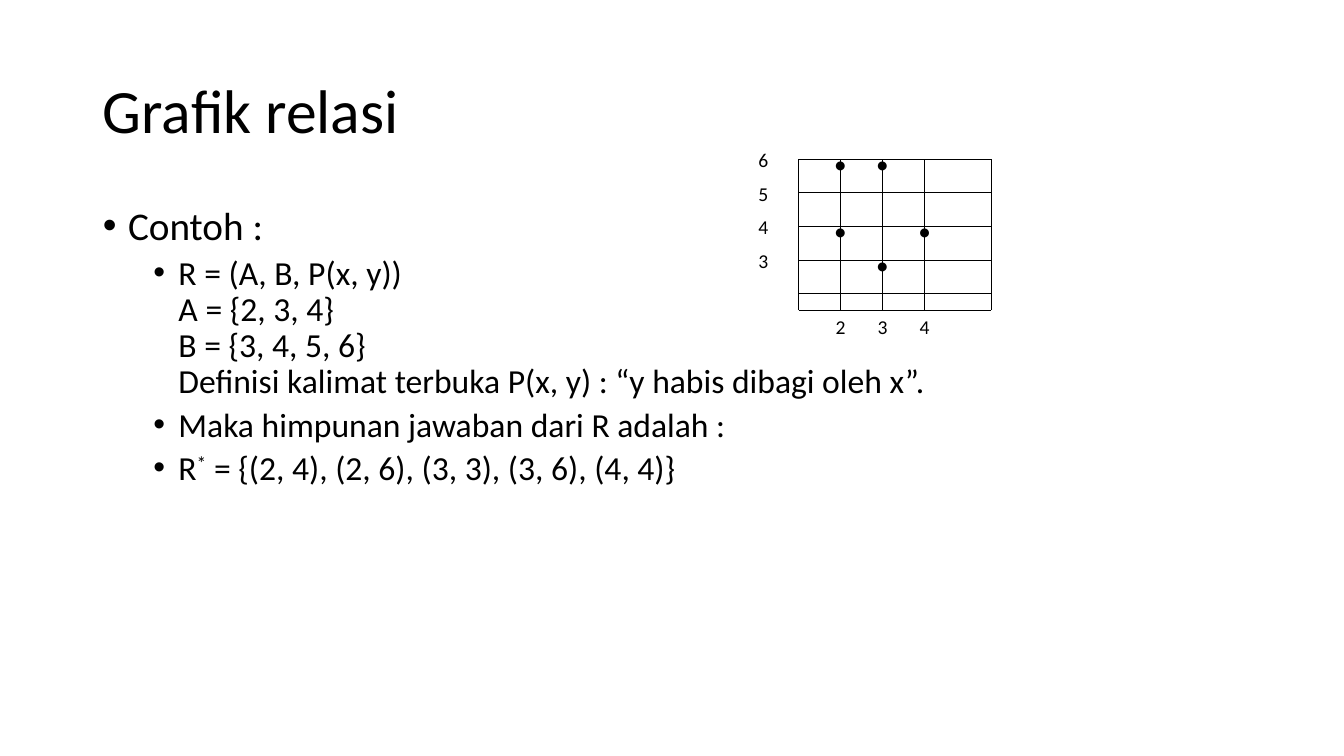
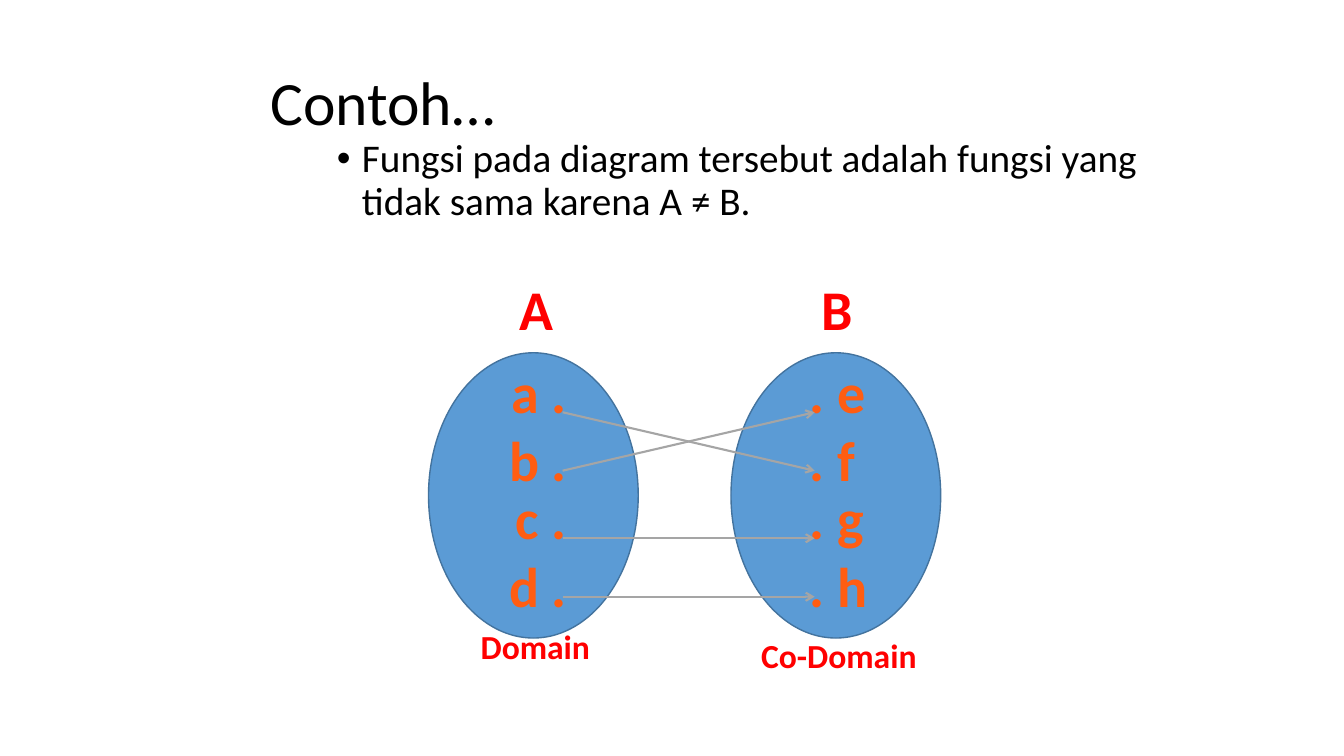
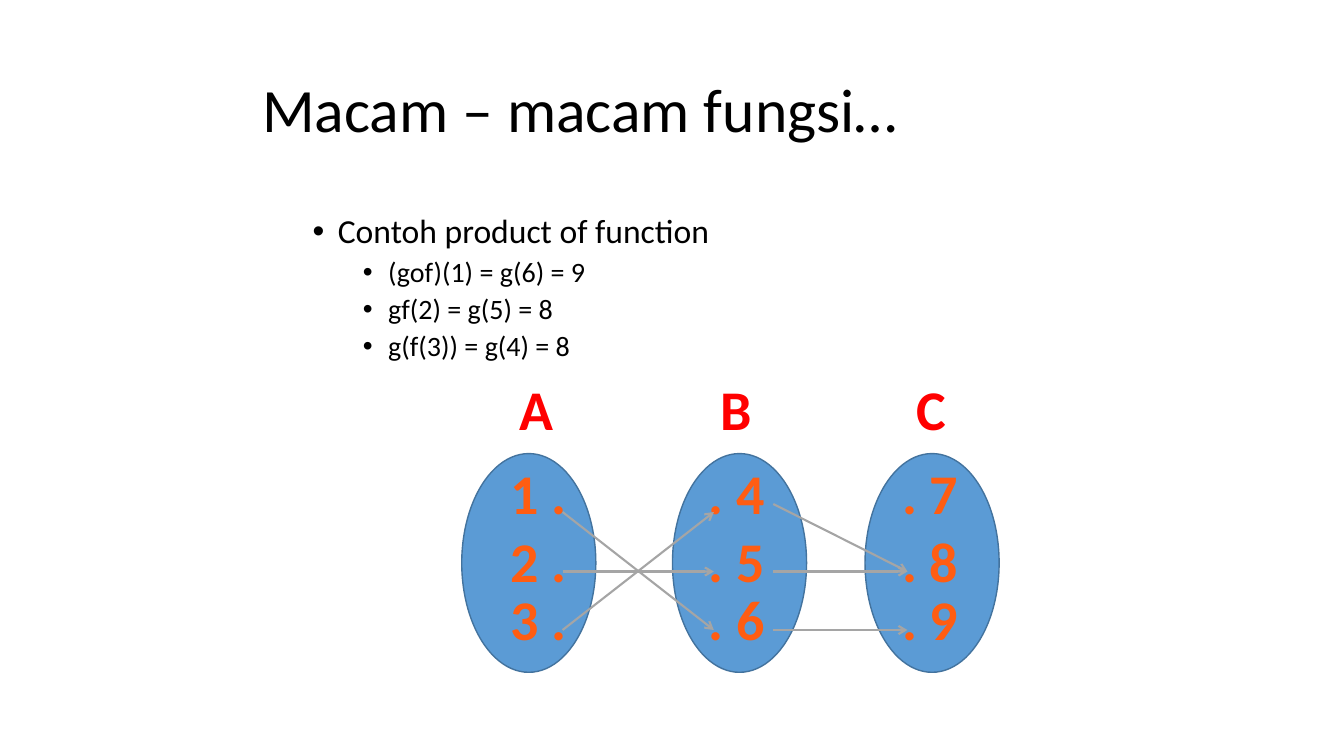
from copy import deepcopy
from dataclasses import dataclass

from lxml.etree import SubElement
from pptx import Presentation
from pptx.dml.color import RGBColor
from pptx.enum.shapes import MSO_CONNECTOR, MSO_SHAPE
from pptx.enum.text import MSO_ANCHOR, MSO_AUTO_SIZE, PP_ALIGN
from pptx.oxml.ns import qn
from pptx.util import Inches, Pt


@dataclass(frozen=True)
class Theme:
    """Colours and type sizes shared by all slides."""
    font: str = "Calibri"
    ink: str = "000000"
    name: str = "FF0000"
    member: str = "FF5D12"
    fill: str = "5B9BD5"
    outline: str = "43739E"
    arrow: str = "A5A5A5"
    title: int = 44
    large: int = 40
    body: int = 28
    second: int = 24
    third: int = 20
    dot: int = 18
    axis: int = 14


THEME = Theme()


def write(paragraph, text, *, size, color=THEME.ink, bold=False, raised=False):
    """Add text to a paragraph, with a line break at each newline."""
    for index, line in enumerate(text.split("\n")):
        if index:
            paragraph.add_line_break()
        span = paragraph.add_run()
        span.text = line
        span.font.name = THEME.font
        span.font.size = Pt(size)
        span.font.bold = bold
        span.font.color.rgb = RGBColor.from_string(color)
        if raised:
            span.font._element.set("baseline", "30000")
        if index:
            line_break = span._r.getprevious()
            line_break.append(deepcopy(span.font._element))


class Slides:
    """Holds the deck, its theme and the current slide."""

    def __init__(self, theme):
        """Start an empty widescreen deck."""
        self.theme = theme
        self.deck = Presentation()
        self.deck.slide_width = Inches(13.33)
        self.deck.slide_height = Inches(7.5)
        self.page = None

    def place(self, shape, left, top, width, height):
        """Move and size a placeholder and return its text frame."""
        shape.left, shape.top = Inches(left), Inches(top)
        shape.width, shape.height = Inches(width), Inches(height)
        shape.text_frame.word_wrap = True
        shape.text_frame.auto_size = MSO_AUTO_SIZE.NONE
        return shape.text_frame

    def start(self, title, *area):
        """Add a slide with its title."""
        self.page = self.deck.slides.add_slide(self.deck.slide_layouts[1])
        frame = self.place(self.page.shapes.title, *area)
        frame.vertical_anchor = MSO_ANCHOR.MIDDLE
        para = frame.paragraphs[0]
        para.alignment = PP_ALIGN.LEFT
        para.line_spacing = 0.9
        write(para, title, size=self.theme.title)

    def bullets(self, items, *area):
        """Fill the body with items of level, size and (text, raised) parts."""
        frame = self.place(self.page.placeholders[1], *area)
        for index, (level, size, parts) in enumerate(items):
            para = frame.add_paragraph() if index else frame.paragraphs[0]
            para.level = level
            para.line_spacing = 0.9
            para.space_before = Pt(5 if index else 0)
            properties = para._p.get_or_add_pPr()
            properties.set("marL", str(Inches(0.25 + 0.5 * level)))
            properties.set("indent", str(Inches(-0.25)))
            SubElement(properties, qn("a:buFont")).set("typeface", "Arial")
            SubElement(properties, qn("a:buChar")).set("char", "•")
            for text, raised in parts:
                write(para, text, size=size, raised=raised)

    def label(self, text, left, top, width, height, align=PP_ALIGN.CENTER,
              anchor=MSO_ANCHOR.TOP, **style):
        """Add a one-line text box."""
        box = self.page.shapes.add_textbox(
            Inches(left), Inches(top), Inches(width), Inches(height))
        box.text_frame.word_wrap = True
        box.text_frame.vertical_anchor = anchor
        para = box.text_frame.paragraphs[0]
        para.alignment = align
        write(para, text, **style)

    def line(self, x1, y1, x2, y2, color, width, arrow=False):
        """Add a straight line, with an arrowhead if asked."""
        line = self.page.shapes.add_connector(
            MSO_CONNECTOR.STRAIGHT, Inches(x1), Inches(y1), Inches(x2), Inches(y2))
        line.line.color.rgb = RGBColor.from_string(color)
        line.line.width = Pt(width)
        if arrow:
            SubElement(line.line._get_or_add_ln(), qn("a:tailEnd")).set("type", "arrow")
        SubElement(line._element.spPr, qn("a:effectLst"))

    def oval(self, left, top, width, height):
        """Add the ellipse of a set."""
        oval = self.page.shapes.add_shape(
            MSO_SHAPE.OVAL, Inches(left), Inches(top), Inches(width), Inches(height))
        oval.shadow.inherit = False
        oval.fill.solid()
        oval.fill.fore_color.rgb = RGBColor.from_string(self.theme.fill)
        oval.line.color.rgb = RGBColor.from_string(self.theme.outline)
        oval.line.width = Pt(1)

    def set(self, name, center, members, edge, oval, source=False):
        """Add a named set; a source has its dots at the right edge."""
        left, top, width, height = oval
        self.oval(left, top, width, height)
        self.label(name, center - 0.4, top - 0.83, 0.8, 0.77,
                   size=self.theme.large, color=self.theme.name, bold=True)
        for member, offset in zip(members, (0, 0.67, 1.25, 1.92)):
            self.label(f"{member} ." if source else f". {member}",
                       edge - 0.95 if source else edge, top + offset, 0.95, 0.77,
                       PP_ALIGN.RIGHT if source else PP_ALIGN.LEFT,
                       size=self.theme.large, color=self.theme.member, bold=True)

    def arrows(self, x1, x2, heights):
        """Add arrows between two columns at pairs of heights."""
        for y1, y2 in heights:
            self.line(x1, y1, x2, y2, self.theme.arrow, 1.5, arrow=True)

    def relation_grid(self, pairs):
        """Draw the grid of a relation with a dot for each pair."""
        left, top, right, bottom = 7.92, 1.58, 9.83, 3.08
        columns = {x: left + (x - 1) * 5 / 12 for x in (1, 2, 3, 4)}
        rows = {y: top + (6 - y) / 3 for y in (6, 5, 4, 3, 2)}
        for x in (*columns.values(), right):
            self.line(x, top, x, bottom, self.theme.ink, 0.75)
        for y in (*rows.values(), bottom):
            self.line(left, y, right, y, self.theme.ink, 0.75)
        for x in (2, 3, 4):
            self.label(str(x), columns[x] - 0.2, 3.08, 0.4, 0.34, size=self.theme.axis)
        for y in (6, 5, 4, 3):
            self.label(str(y), 7.37, rows[y] - 0.16, 0.4, 0.34, size=self.theme.axis)
        for x, y in pairs:
            self.label("•", columns[x] - 0.2, rows[y] - 0.16, 0.4, 0.4,
                       anchor=MSO_ANCHOR.MIDDLE, size=self.theme.dot)


def relation_slide(slides):
    """Build the slide on the graph of a relation."""
    second = slides.theme.second
    slides.start("Grafik relasi", 0.92, 0.4, 11.5, 1.45)
    definition = ("R = (A, B, P(x, y))\nA = {2, 3, 4}\nB = {3, 4, 5, 6}\n"
                  "Definisi kalimat terbuka P(x, y) : “y habis dibagi oleh x”.")
    slides.bullets([
        (0, slides.theme.body, [("Contoh :", False)]),
        (1, second, [(definition, False)]),
        (1, second, [("Maka himpunan jawaban dari R adalah :", False)]),
        (1, second, [("R", False), ("*", True),
                     (" = {(2, 4), (2, 6), (3, 3), (3, 6), (4, 4)}", False)]),
    ], 0.92, 2, 11.5, 4.76)
    slides.relation_grid([(2, 4), (2, 6), (3, 3), (3, 6), (4, 4)])


def unequal_slide(slides):
    """Build the slide on functions that are not equal."""
    theme = slides.theme
    slides.start("Contoh…", 2.58, 0.42, 7.12, 1.25)
    text = "Fungsi pada diagram tersebut adalah fungsi yang tidak sama karena A ≠ B."
    slides.bullets([(0, theme.body, [(text, False)])], 3.24, 1.33, 8.2, 2.11)
    slides.set("A", 5.32, "abcd", 5.72, (4.25, 3.5, 2.08, 2.83), source=True)
    slides.set("B", 8.3, "efgh", 7.93, (7.25, 3.5, 2.08, 2.83))
    for caption, center, top in (("Domain", 5.31, 6.16), ("Co-Domain", 8.32, 6.25)):
        slides.label(caption, center - 1, top, 2, 0.5,
                     size=theme.second, color=theme.name, bold=True)
    slides.arrows(5.58, 8.08, [(4.09, 4.67), (4.67, 4.09), (5.34, 5.34), (5.92, 5.92)])


def product_slide(slides):
    """Build the slide on the product of functions."""
    slides.start("Macam – macam fungsi…", 2.5, 0.58, 7.42, 1.08)
    steps = ("(gof)(1) = g(6) = 9", "gf(2) = g(5) = 8", "g(f(3)) = g(4) = 8")
    slides.bullets(
        [(1, slides.theme.second, [("Contoh product of function", False)])]
        + [(2, slides.theme.third, [(step, False)]) for step in steps],
        2.5, 2.08, 8.25, 1.64)
    slides.set("A", 5.32, "123", 5.72, (4.58, 4.5, 1.33, 2.17), source=True)
    slides.set("B", 7.3, "456", 6.93, (6.67, 4.5, 1.33, 2.17))
    slides.set("C", 9.24, "789", 8.85, (8.58, 4.5, 1.33, 2.17))
    slides.arrows(5.58, 7.08, [(5.08, 6.25), (6.25, 5.08), (5.67, 5.67)])
    slides.arrows(7.67, 9, [(6.25, 6.25), (5, 5.67), (5.67, 5.67)])


def main():
    """Build and save the deck."""
    slides = Slides(THEME)
    relation_slide(slides)
    unequal_slide(slides)
    product_slide(slides)
    slides.deck.save("out.pptx")


if __name__ == "__main__":
    main()
